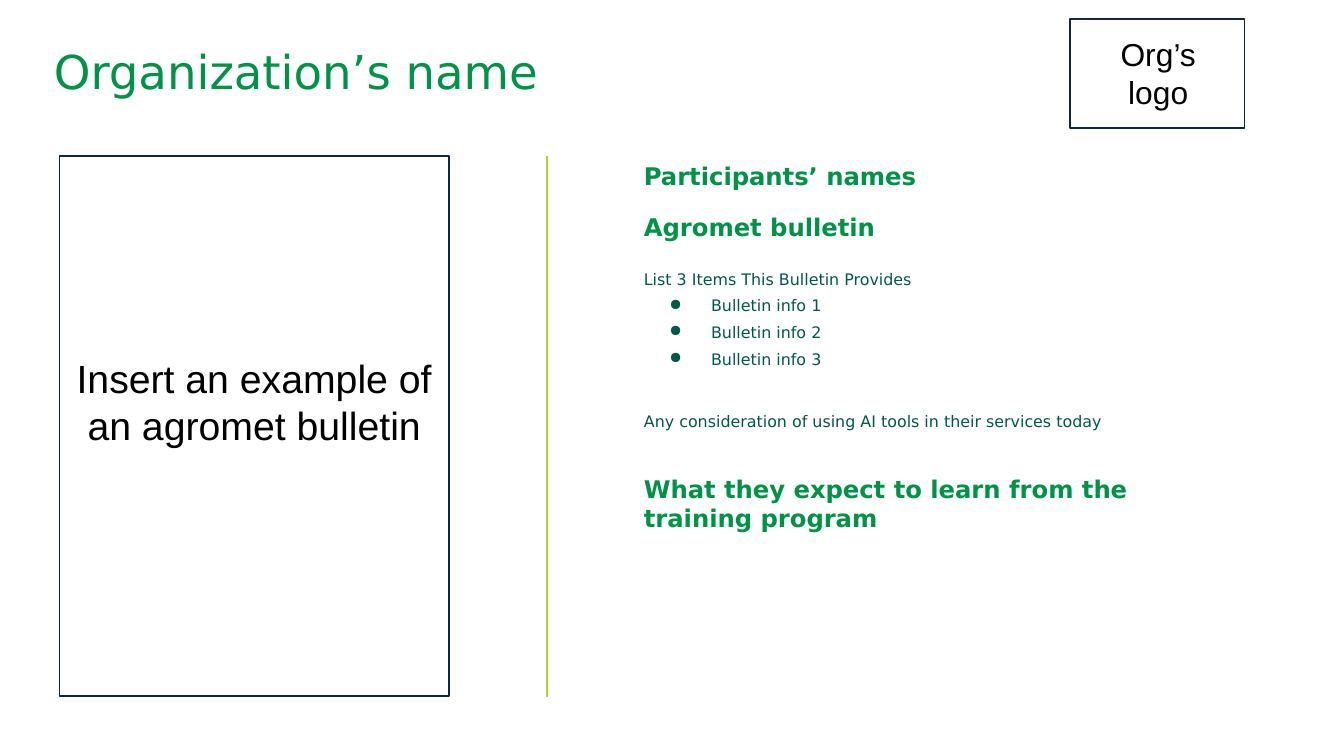
"""Build an organization profile slide about its agromet bulletin."""
import pptx
import pptx.dml.color
import pptx.enum.shapes
import pptx.enum.text
import pptx.oxml.ns
import pptx.util
from lxml import etree

Cm = pptx.util.Cm
Pt = pptx.util.Pt
RGBColor = pptx.dml.color.RGBColor
CENTER = pptx.enum.text.PP_ALIGN.CENTER
qn = pptx.oxml.ns.qn

GREEN = RGBColor(0x00, 0x92, 0x47)
DARK_GREEN = RGBColor(0x00, 0x58, 0x49)
LIME = RGBColor(0xB2, 0xD2, 0x35)
NAVY = RGBColor(0x0E, 0x28, 0x41)
BLACK = RGBColor(0x00, 0x00, 0x00)

COLUMN_LEFT, COLUMN_TOP = 11.99, 2.95
DIVIDER_X, DIVIDER_BOTTOM = 10.34, 13.18

HEADING = dict(size=13, color=GREEN, bold=True)
BODY = dict(size=8.5, color=DARK_GREEN, spacing=1.4)
PLACEHOLDER = dict(font="Arial", color=BLACK, align=CENTER, margins=(0.25, 0.25))

FRAMES = [
    (1.12, COLUMN_TOP, 7.37, 10.21),
    (20.22, 0.36, 3.3, 2.06),
]
TITLE = ("Organization’s name", (0.84, 0.71, 14.81, 1.47))
PROMPTS = [
    ("Insert an example of an agromet bulletin", (1.12, 6.45, 7.37, 2.31), 21),
    ("Org’s logo", (20.47, 0.41, 2.84, 1.96), 17),
]
BULLETIN_INFO = ["Bulletin info 1", "Bulletin info 2", "Bulletin info 3"]
COLUMN = [
    ("Participants’ names", COLUMN_TOP, 5.97, 0.74, HEADING),
    ("Agromet bulletin", 3.91, 5.97, 0.74, HEADING),
    ("List 3 Items This Bulletin Provides", 4.85, 11.46, 2.08,
     dict(BODY, bullets=BULLETIN_INFO)),
    ("Any consideration of using AI tools in their services today",
     7.54, 10.82, 1.07, BODY),
    ("What they expect to learn from the training program",
     8.86, 11.33, 1.3, HEADING),
]


def add_bullet(paragraph, color):
    properties = paragraph._p.get_or_add_pPr()
    properties.set("marL", str(Cm(1.27)))
    properties.set("indent", str(Cm(-0.79)))
    bullet_color = etree.SubElement(properties, qn("a:buClr"))
    etree.SubElement(bullet_color, qn("a:srgbClr"), val=str(color))
    etree.SubElement(properties, qn("a:buChar"), char="●")


def add_text(slide, text, box, *, size, color, font="DejaVu Sans", bold=False,
             align=None, spacing=None, bullets=(), margins=(0.18, 0.1)):
    frame = slide.shapes.add_textbox(*map(Cm, box)).text_frame
    frame.word_wrap = True
    frame.margin_left = frame.margin_right = Cm(margins[0])
    frame.margin_top = frame.margin_bottom = Cm(margins[1])
    frame.text = "\n".join([text, *bullets])
    for index, paragraph in enumerate(frame.paragraphs):
        paragraph.alignment = align
        paragraph.line_spacing = spacing
        style = paragraph.runs[0].font
        style.name, style.size, style.bold = font, Pt(size), bold
        style.color.rgb = color
        if index:
            add_bullet(paragraph, color)


def add_frame(slide, box):
    frame = slide.shapes.add_shape(
        pptx.enum.shapes.MSO_SHAPE.RECTANGLE, *map(Cm, box))
    frame.shadow.inherit = False
    frame.fill.background()
    frame.line.color.rgb = NAVY
    frame.line.width = Pt(0.75)


def add_divider(slide):
    divider = slide.shapes.add_connector(
        pptx.enum.shapes.MSO_CONNECTOR.STRAIGHT, Cm(DIVIDER_X), Cm(COLUMN_TOP),
        Cm(DIVIDER_X), Cm(DIVIDER_BOTTOM))
    divider.line.color.rgb = LIME
    divider.line.width = Pt(0.75)
    etree.SubElement(divider._element.spPr, qn("a:effectLst"))


def main():
    deck = pptx.Presentation()
    deck.slide_width, deck.slide_height = Cm(25.4), Cm(14.29)
    slide = deck.slides.add_slide(deck.slide_layouts[6])
    for box in FRAMES:
        add_frame(slide, box)
    add_divider(slide)
    add_text(slide, *TITLE, size=25, color=GREEN)
    for prompt, box, size in PROMPTS:
        add_text(slide, prompt, box, size=size, **PLACEHOLDER)
    for text, top, width, height, style in COLUMN:
        add_text(slide, text, (COLUMN_LEFT, top, width, height), **style)
    deck.save("out.pptx")


if __name__ == "__main__":
    main()
